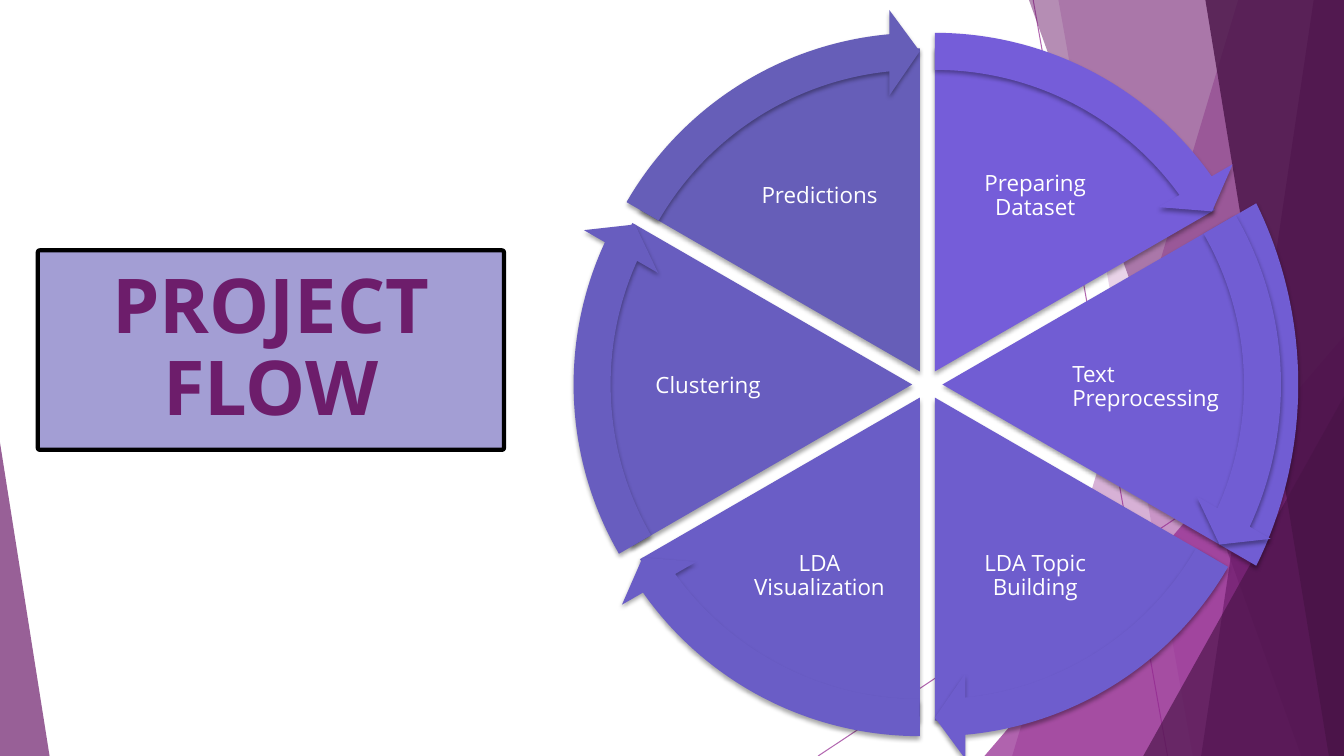
"""Build the project flow slide: a six-part cycle beside a boxed title."""
from dataclasses import dataclass
from math import cos, radians, sin

from lxml.etree import SubElement
from pptx import Presentation
from pptx.dml.color import RGBColor
from pptx.dml.fill import FillFormat
from pptx.enum.shapes import MSO_CONNECTOR, MSO_SHAPE
from pptx.enum.text import MSO_ANCHOR, PP_ALIGN
from pptx.oxml.ns import qn
from pptx.shapes.autoshape import Shape
from pptx.util import Emu, Inches, Pt

COLS, ROWS = 160, 90


@dataclass(frozen=True)
class Theme:
    """Colours, font and type sizes."""
    font: str = "Open Sans"
    head: int = 54
    body: int = 16
    light: str = "92278F"
    mid: str = "6D1D6B"
    dark: str = "491447"
    box: str = "A39ED4"
    white: str = "FFFFFF"
    black: str = "000000"


@dataclass(frozen=True)
class Blade:
    """A full-height panel that slants from top to foot."""
    top: float
    foot: float
    tint: str
    alpha: int


@dataclass(frozen=True)
class Peak:
    """A right triangle that stands on the foot of the slide."""
    left: float
    top: float
    wide: float
    lean: int
    tint: str
    alpha: int


@dataclass(frozen=True)
class Step:
    """One part of the cycle; x and y run from the hub to the label centre."""
    text: str
    tint: str
    x: float
    y: float
    wide: float = 20.16
    tall: float = 15.6
    pie: tuple[float, float] = (76.92, 76.92)
    align: PP_ALIGN = PP_ALIGN.CENTER


@dataclass(frozen=True)
class Wheel:
    """Centre, spread and angles of the cycle."""
    x: float = 110.4
    y: float = 45.78
    gap: float = 1.8
    ring: float = 86.4
    first: int = 270
    sweep: int = 60
    reach: float = 54.54
    band: float = 0.051
    tip: float = 3.275
    barb: float = 0.059


THEME, WHEEL = Theme(), Wheel()
LINES = [((123, 0), (139, ROWS)), ((COLS, 48.4), (97.4, ROWS))]
DECOR = [
    Blade(147.4, 120.5, THEME.light, 36),
    Blade(126, 142, THEME.light, 20),
    Peak(117.2, 40, 42.8, 1, THEME.light, 72),
    Blade(122.5, 154.9, THEME.mid, 50),
    Blade(156.4, 143, THEME.mid, 70),
    Blade(143.5, 158.2, THEME.dark, 80),
    Peak(136.1, 47.2, 23.9, 1, THEME.dark, 66),
    Peak(0, 52.7, 5.9, 0, THEME.mid, 70),
]
STEPS = [
    Step("Preparing Dataset", "755DD9", 12.84, -22.4),
    Step("Text Preprocessing", "715DD3", 28.6, 0.3, 23.16, 18, (84.72, 91.56), PP_ALIGN.LEFT),
    Step("LDA Topic Building", "6E5DCD", 12.84, 22.86),
    Step("LDA Visualization", "6A5DC6", -12.84, 22.86),
    Step("Clustering", "685DBF", -26.1, 0.2, 21, 15.12),
    Step("Predictions", "665EB8", -12.84, -22.4),
]

deck = Presentation()
deck.slide_width, deck.slide_height = Inches(13.3333), Inches(7.5)
CELL = deck.slide_height / ROWS
shapes = deck.slides.add_slide(deck.slide_layouts[6]).shapes


def span(*cells: float) -> list[Emu]:
    """Turn grid cells into lengths."""
    return [Emu(round(cell * CELL)) for cell in cells]


def paint(fill: FillFormat, tint: str, alpha: int = 100) -> None:
    """Give a solid colour with its opacity."""
    fill.solid()
    fill.fore_color.rgb = RGBColor.from_string(tint)
    if alpha < 100:
        node = fill._xPr.find(qn("a:solidFill"))[0]
        SubElement(node, qn("a:alpha"), val=str(alpha * 1000))


def plain(shape: Shape, tint: str, alpha: int = 100) -> None:
    """Fill a shape and drop its line and shadow."""
    shape.shadow.inherit = False
    shape.line.fill.background()
    paint(shape.fill, tint, alpha)


def shade(shape: Shape) -> None:
    """Cast a soft shadow straight down."""
    glow = SubElement(shape._element.spPr.find(qn("a:effectLst")), qn("a:outerShdw"),
                      blurRad=str(Pt(3)), dist=str(Pt(2)), dir="5400000", rotWithShape="0")
    ink = SubElement(glow, qn("a:srgbClr"), val=THEME.black)
    SubElement(ink, qn("a:alpha"), val="35000")


def write(shape: Shape, text: str, size: int, tint: str, align: PP_ALIGN,
          inset: float, bold: bool = False) -> None:
    """Set one wrapped paragraph in the middle of a shape."""
    frame = shape.text_frame
    frame.word_wrap, frame.vertical_anchor = True, MSO_ANCHOR.MIDDLE
    frame.margin_left = frame.margin_right = Inches(inset)
    frame.margin_top = frame.margin_bottom = Inches(inset)
    para = frame.paragraphs[0]
    para.alignment, para.line_spacing = align, 0.9
    run = para.add_run()
    run.text = text
    run.font.name, run.font.size, run.font.bold = THEME.font, Pt(size), bold
    run.font.color.rgb = RGBColor.from_string(tint)


def rule(start: tuple[float, float], end: tuple[float, float]) -> None:
    """Draw a thin line across the backdrop."""
    line = shapes.add_connector(MSO_CONNECTOR.STRAIGHT, *span(*start, *end))
    line.line.width = Pt(0.75)
    paint(line.line.fill, THEME.light, 70)
    SubElement(line._element.spPr, qn("a:effectLst"))


def slant(blade: Blade) -> None:
    """Draw a panel that reaches the right edge."""
    pen = shapes.build_freeform(*span(blade.top, 0), scale=1.0)
    pen.add_line_segments([span(COLS, 0), span(COLS, ROWS), span(blade.foot, ROWS)])
    plain(pen.convert_to_shape(), blade.tint, blade.alpha)


def mount(peak: Peak) -> None:
    """Draw a triangle down to the foot of the slide."""
    shape = shapes.add_shape(MSO_SHAPE.ISOSCELES_TRIANGLE,
                             *span(peak.left, peak.top, peak.wide, ROWS - peak.top))
    shape.adjustments[0] = peak.lean
    plain(shape, peak.tint, peak.alpha)


def place(kind: MSO_SHAPE, rank: int, step: Step, wide: float, tall: float,
          turns: list[float]) -> None:
    """Set a shaded part of the cycle, pushed out from the hub."""
    way = radians(WHEEL.first + WHEEL.sweep * (rank + 0.5))
    x, y = WHEEL.x + WHEEL.gap * cos(way), WHEEL.y + WHEEL.gap * sin(way)
    shape = shapes.add_shape(kind, *span(x - wide / 2, y - tall / 2, wide, tall))
    for spot, turn in enumerate(turns):
        shape.adjustments[spot] = turn
    plain(shape, step.tint)
    shade(shape)


def turn(rank: int, sweep: float = 0) -> float:
    """Give the angle of a step plus a sweep, in adjust units."""
    return (WHEEL.first + WHEEL.sweep * rank + sweep) % 360 * 0.6


def slice_pie(rank: int, step: Step) -> None:
    """Draw a slice and its label."""
    place(MSO_SHAPE.PIE, rank, step, *step.pie, [turn(rank), turn(rank, WHEEL.sweep)])
    label = shapes.add_textbox(*span(WHEEL.x + step.x - step.wide / 2,
                                     WHEEL.y + step.y - step.tall / 2, step.wide, step.tall))
    write(label, step.text, THEME.body, THEME.white, step.align, 0.02)


def arrow(rank: int, step: Step) -> None:
    """Draw the bent arrow along the rim of a slice."""
    place(MSO_SHAPE.CIRCULAR_ARROW, rank, step, WHEEL.ring, WHEEL.ring,
          [WHEEL.band, WHEEL.tip, turn(rank, WHEEL.reach), turn(rank), WHEEL.barb])


def title() -> None:
    """Draw the boxed title."""
    box = shapes.add_shape(MSO_SHAPE.ROUNDED_RECTANGLE, *span(4.5, 29.8, 55.5, 23.75))
    box.adjustments[0] = 0.01
    plain(box, THEME.box)
    paint(box.line.fill, THEME.black)
    box.line.width = Pt(3)
    write(box, "PROJECT FLOW", THEME.head, THEME.mid, PP_ALIGN.CENTER, 0.1, True)


for ends in LINES:
    rule(*ends)
for item in DECOR:
    slant(item) if isinstance(item, Blade) else mount(item)
title()
for draw in (slice_pie, arrow):
    for rank, step in enumerate(STEPS):
        draw(rank, step)
deck.save("out.pptx")
